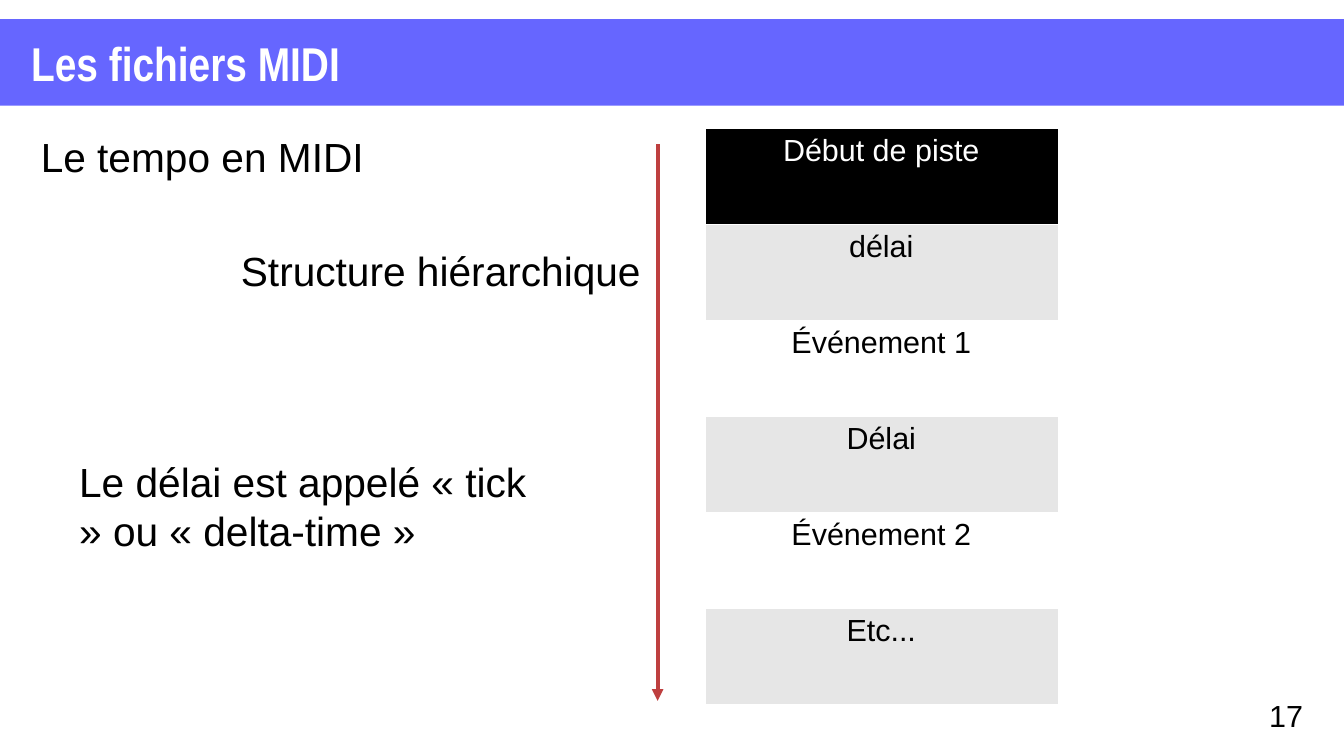
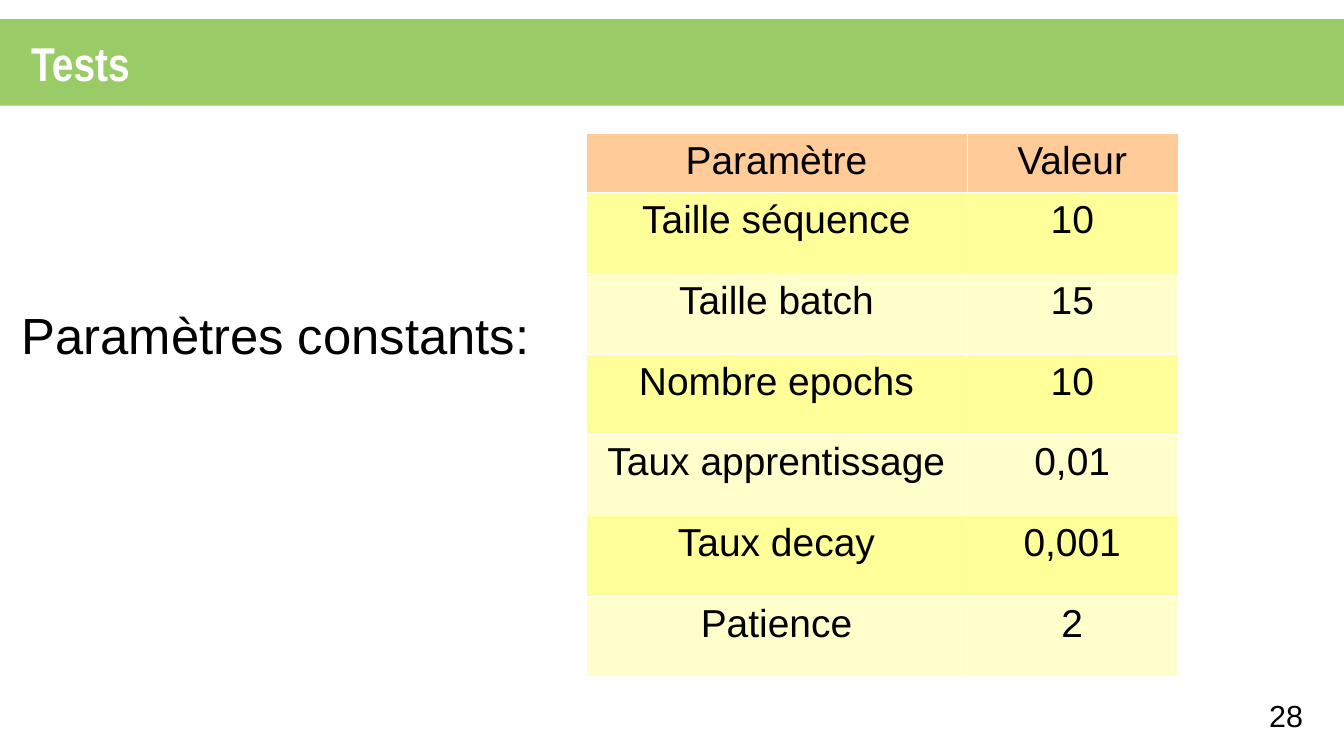
from dataclasses import dataclass

from lxml import etree
from pptx import Presentation
from pptx import util as u
from pptx.dml import color
from pptx.enum import shapes, text
from pptx.oxml import ns


@dataclass(frozen=True)
class Theme:
    """Hold the colours, fonts and type sizes of the deck."""

    white: str = "FFFFFF"
    black: str = "000000"
    blue: str = "6666FF"
    green: str = "99CC66"
    red: str = "BE3F3F"
    grey: str = "E6E6E6"
    peach: str = "FFCC99"
    lemon: str = "FFFF99"
    cream: str = "FFFFCC"
    body: str = "Arial"
    head: str = "Arial Narrow"
    title: int = 28
    large: int = 30
    text: int = 24
    grid: int = 23
    small: int = 18


T = Theme()
WIDTH, HEIGHT = 28, 15.75


def rgb(code):
    """Turn a hex code into a colour."""
    return color.RGBColor.from_string(code)


def paint(item, code):
    """Fill a shape or a cell with one colour."""
    item.fill.solid()
    item.fill.fore_color.rgb = rgb(code)


def write(frame, words, size, ink=T.black, align=None, **style):
    """Put one formatted paragraph in a text frame."""
    para = frame.paragraphs[0]
    para.alignment = align
    run = para.add_run()
    run.text = words
    look = {"name": T.body, "size": u.Pt(size), "bold": False, **style}
    for key, value in look.items():
        setattr(run.font, key, value)
    run.font.color.rgb = rgb(ink)


def label(slide, words, area, size=T.text, wrap=True, anchor="TOP", **style):
    """Add a text box over the given area."""
    frame = slide.shapes.add_textbox(*map(u.Cm, area)).text_frame
    frame.word_wrap = wrap
    frame.vertical_anchor = getattr(text.MSO_ANCHOR, anchor)
    write(frame, words, size, **style)


def edge(cell):
    """Give a cell hairline white borders."""
    props = cell._tc.get_or_add_tcPr()
    for side in ("lnL", "lnR", "lnT", "lnB"):
        line = etree.SubElement(props, ns.qn("a:" + side), w="762")
        fill = etree.SubElement(line, ns.qn("a:solidFill"))
        etree.SubElement(fill, ns.qn("a:srgbClr"), val=T.white)


def table(slide, rows, spot, cols, highs, size, fills, ink=T.black):
    """Add a centred table with a head row and two alternating fills."""
    area = (*spot, sum(cols), sum(highs))
    frame = slide.shapes.add_table(len(rows), len(cols), *map(u.Cm, area))
    grid = frame.table
    grid.first_row = grid.horz_banding = False
    for col, wide in zip(grid.columns, cols):
        col.width = u.Cm(wide)
    for i, (row, high) in enumerate(zip(rows, highs)):
        grid.rows[i].height = u.Cm(high)
        for j, words in enumerate(row):
            cell = grid.cell(i, j)
            edge(cell)
            paint(cell, fills[0] if i == 0 else fills[2 - i % 2])
            write(cell.text_frame, words, size, T.black if i else ink,
                  text.PP_ALIGN.CENTER)


def arrow(slide, start, end):
    """Draw a red arrow between two points."""
    line = slide.shapes.add_connector(
        shapes.MSO_CONNECTOR.STRAIGHT, *map(u.Cm, (*start, *end)))
    line.line.color.rgb = rgb(T.red)
    line.line.width = u.Pt(2.3)
    etree.SubElement(line.line._get_or_add_ln(), ns.qn("a:tailEnd"),
                     type="triangle")
    etree.SubElement(line._element.spPr, ns.qn("a:effectLst"))


def page(deck, title, number, tint):
    """Add a slide with its title band and page number."""
    slide = deck.slides.add_slide(deck.slide_layouts[6])
    band = slide.shapes.add_shape(
        shapes.MSO_SHAPE.RECTANGLE, *map(u.Cm, (0, 0.4, WIDTH, 1.8)))
    band.shadow.inherit = False
    band.line.fill.background()
    paint(band, tint)
    label(slide, title, (0.4, 0.6, 22, 1.4), T.title, anchor="MIDDLE",
          ink=T.white, name=T.head, bold=True)
    label(slide, number, (26.19, 14.4, 1.8, 1.2), T.small)
    return slide


def midi(deck):
    """Build the slide on MIDI files."""
    slide = page(deck, "Les fichiers MIDI", "17", T.blue)
    label(slide, "Le tempo en MIDI", (0.6, 2.62, 7.24, 1.2), wrap=False)
    steps = ("Début de piste", "délai", "Événement 1", "Délai",
             "Événement 2", "Etc...")
    table(slide, [(step,) for step in steps], (14.68, 2.67), [7.36],
          [2] * len(steps), T.small, (T.black, T.grey, T.white), T.white)
    label(slide, "Structure hiérarchique", (4.77, 5, 8.84, 1.2), wrap=False)
    arrow(slide, (13.7, 3), (13.7, 14.6))
    label(slide, "Le délai est appelé « tick » ou « delta-time »",
          (1.4, 9.4, 10, 4))


def tests(deck):
    """Build the slide on the constant test parameters."""
    slide = page(deck, "Tests", "28", T.green)
    label(slide, "Paramètres constants:", (0.2, 6.2, 12, 1.68), T.large)
    rows = (
        ("Paramètre", "Valeur"),
        ("Taille séquence", "10"),
        ("Taille batch", "15"),
        ("Nombre epochs", "10"),
        ("Taux apprentissage", "0,01"),
        ("Taux decay", "0,001"),
        ("Patience", "2"),
    )
    table(slide, rows, (12.22, 2.78), [7.92, 4.4],
          [1.18] + [1.68] * (len(rows) - 1), T.grid,
          (T.peach, T.lemon, T.cream))


def main():
    """Build and save the deck."""
    deck = Presentation()
    deck.slide_width, deck.slide_height = u.Cm(WIDTH), u.Cm(HEIGHT)
    midi(deck)
    tests(deck)
    deck.save("out.pptx")


if __name__ == "__main__":
    main()
